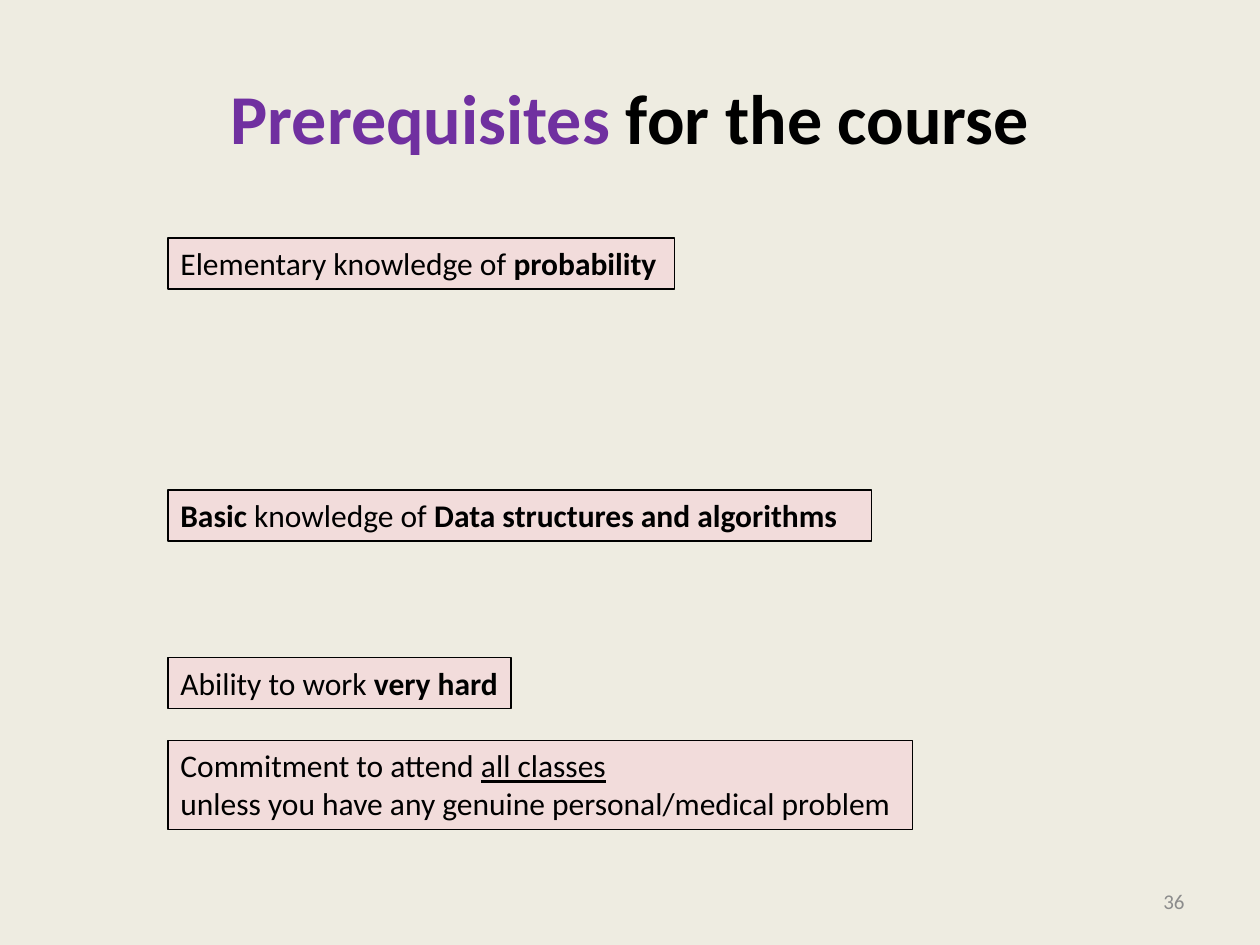
"""Build the course prerequisites slide."""
from pptx import Presentation
from pptx.dml.color import RGBColor
from pptx.enum.shapes import MSO_SHAPE
from pptx.enum.text import MSO_ANCHOR, PP_ALIGN
from pptx.util import Pt

TITLE = [[("Prerequisites", {"color": "accent"}), (" for the course", {})]]
PAGE_NUMBER = [[("36", {})]]
BOLD, UNDERLINE = {"bold": True}, {"underline": True}
REQUIREMENTS = [
    (136, 289.5, [[("Elementary knowledge of ", {}), ("probability", BOLD)]]),
    (280, 402, [[("Basic", BOLD), (" knowledge of ", {}),
                 ("Data structures and algorithms", BOLD)]]),
    (375.75, 196, [[("Ability to work ", {}), ("very hard", BOLD)]]),
    (423, 425.5, [[("Commitment to attend ", {}), ("all classes", UNDERLINE)],
                  [("unless you have any genuine personal/medical problem", {})]]),
]

THEME = {
    "font": "Calibri",
    "background": "EEECE1",
    "box": "F2DCDB",
    "text": "000000",
    "accent": "7030A0",
    "muted": "8C8C8C",
    "title_size": 40,
    "body_size": 18,
    "number_size": 12,
}
BOX_LEFT = 96
LINE_HEIGHT = 22
BOX_PADDING = 7.2


def theme_color(name):
    """Return a theme colour by name."""
    return RGBColor.from_string(THEME[name])


def write_text(shape, paragraphs, *, size="body_size", color="text", bold=False,
               align=PP_ALIGN.LEFT, anchor=MSO_ANCHOR.TOP):
    """Fill a shape with paragraphs of formatted runs."""
    frame = shape.text_frame
    frame.word_wrap = True
    frame.vertical_anchor = anchor
    for index, runs in enumerate(paragraphs):
        paragraph = frame.add_paragraph() if index else frame.paragraphs[0]
        paragraph.alignment = align
        for text, style in runs:
            run = paragraph.add_run()
            run.text = text
            run.font.name = THEME["font"]
            run.font.size = Pt(THEME[size])
            run.font.bold = style.get("bold", bold)
            run.font.underline = style.get("underline", False)
            run.font.color.rgb = theme_color(style.get("color", color))


def add_requirement(slide, top, width, paragraphs):
    """Add one outlined box whose height follows its number of lines."""
    height = len(paragraphs) * LINE_HEIGHT + BOX_PADDING
    shape = slide.shapes.add_shape(
        MSO_SHAPE.RECTANGLE, Pt(BOX_LEFT), Pt(top), Pt(width), Pt(height))
    shape.shadow.inherit = False
    shape.fill.solid()
    shape.fill.fore_color.rgb = theme_color("box")
    shape.line.color.rgb = theme_color("text")
    shape.line.width = Pt(0.75)
    write_text(shape, paragraphs)


def main():
    """Build and save the presentation."""
    presentation = Presentation()
    presentation.slide_width, presentation.slide_height = Pt(720), Pt(540)
    slide = presentation.slides.add_slide(presentation.slide_layouts[6])
    slide.background.fill.solid()
    slide.background.fill.fore_color.rgb = theme_color("background")

    title = slide.shapes.add_textbox(Pt(36), Pt(21.6), Pt(648), Pt(90))
    write_text(title, TITLE, size="title_size", bold=True,
               align=PP_ALIGN.CENTER, anchor=MSO_ANCHOR.MIDDLE)
    for top, width, paragraphs in REQUIREMENTS:
        add_requirement(slide, top, width, paragraphs)
    number = slide.shapes.add_textbox(Pt(516), Pt(500.5), Pt(168), Pt(28.75))
    write_text(number, PAGE_NUMBER, size="number_size", color="muted",
               align=PP_ALIGN.RIGHT, anchor=MSO_ANCHOR.MIDDLE)
    presentation.save("out.pptx")


if __name__ == "__main__":
    main()
